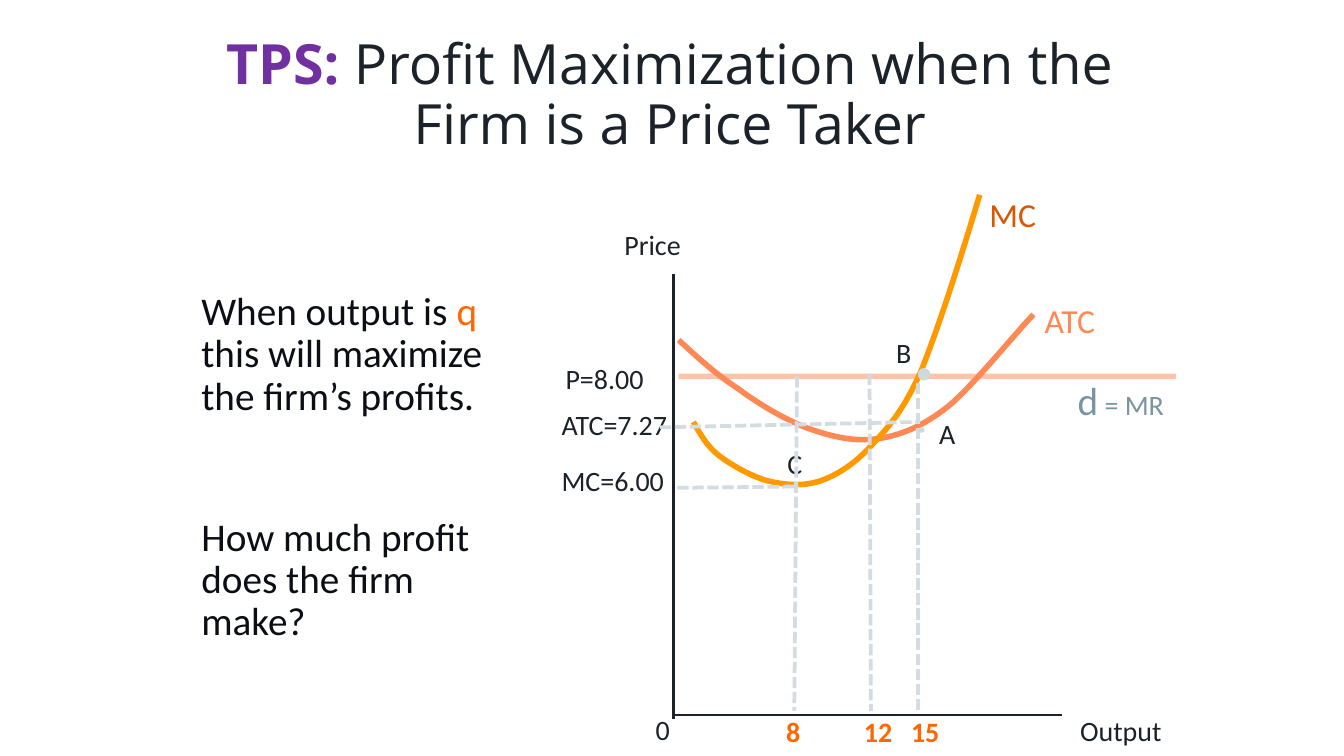
from lxml.etree import SubElement
from pptx import Presentation
from pptx.dml.color import RGBColor
from pptx.enum.dml import MSO_LINE
from pptx.enum.shapes import MSO_CONNECTOR, MSO_SHAPE
from pptx.enum.text import MSO_ANCHOR, PP_ALIGN
from pptx.oxml.ns import qn
from pptx.util import Inches, Pt

# A 16:9 slide as a grid of square cells, 100 columns wide
COLS, ROWS = 100, 56.25
WIDE = Inches(10)
HIGH = WIDE * 9 // 16

HUE = {
    "ink": "1C2229", "body": "0C0E16", "title": "7030A0", "mark": "FF6600",
    "atc": "FE8954", "mc": "FF9900", "mctag": "D85700", "mr": "7A95A2",
    "dash": "D3DCE0", "dot": "CFD8DC", "core": "FFFF00",
}


def col(n):
    return round(n * WIDE / COLS)


def row(n):
    return round(n * HIGH / ROWS)


def rgb(name):
    return RGBColor.from_string(HUE[name])


def add_text(slide, box, runs, size=15, font="Calibri", bold=False,
             align=PP_ALIGN.LEFT, gap=1.0, wrap=True):
    """Put runs of (text, colour[, size[, bold]]) in a box."""
    x, y, w, h = box
    shape = slide.shapes.add_textbox(col(x), row(y), col(w), row(h))
    frame = shape.text_frame
    frame.word_wrap = wrap
    para = frame.paragraphs[0]
    para.alignment = align
    para.line_spacing = gap
    for text, hue, *more in runs:
        run = para.add_run()
        run.text = text
        run.font.name = font
        run.font.size = Pt(more[0] if more else size)
        run.font.bold = more[1] if len(more) > 1 else bold
        run.font.color.rgb = rgb(hue)
    return frame


def add_line(slide, start, end, hue, width, dash=False, alpha=None):
    line = slide.shapes.add_connector(
        MSO_CONNECTOR.STRAIGHT, col(start[0]), row(start[1]),
        col(end[0]), row(end[1]))
    line.line.color.rgb = rgb(hue)
    line.line.width = Pt(width)
    if dash:
        line.line.dash_style = MSO_LINE.SQUARE_DOT
    props = line._element.spPr
    if alpha:
        tint = props.find(".//" + qn("a:srgbClr"))
        SubElement(tint, qn("a:alpha")).set("val", str(alpha * 1000))
    SubElement(props, qn("a:effectLst"))


def add_curve(slide, points, hue):
    """Draw a Bezier curve: a start, then three points per segment."""
    spots = [(col(x), row(y)) for x, y in points]
    form = slide.shapes.build_freeform(*spots[0])
    form.add_line_segments(spots[1:], close=False)
    shape = form.convert_to_shape()
    shape.shadow.inherit = False
    shape.fill.background()
    shape.line.color.rgb = rgb(hue)
    shape.line.width = Pt(3)
    # Turn each three straight steps into one cubic segment
    trace = shape._element.spPr.find(".//" + qn("a:path"))
    steps = trace.findall(qn("a:lnTo"))
    for i in range(0, len(steps), 3):
        cubic = SubElement(trace, qn("a:cubicBezTo"))
        for step in steps[i:i + 3]:
            cubic.append(step[0])
            trace.remove(step)


def add_dot(slide, x, y, w, h, fill, edge=None):
    dot = slide.shapes.add_shape(
        MSO_SHAPE.OVAL, col(x), row(y), col(w), row(h))
    dot.shadow.inherit = False
    dot.fill.solid()
    dot.fill.fore_color.rgb = rgb(fill)
    if edge:
        dot.line.color.rgb = rgb(edge)
        dot.line.width = Pt(3)
    else:
        dot.line.fill.background()


def add_words(slide):
    # Title
    frame = add_text(
        slide, (12.2, 2.1, 75.3, 10.2),
        [("TPS:", "title", 29.7, True),
         (" Profit Maximization when the Firm is a Price Taker", "ink")],
        size=29.7, font="Open Sans", align=PP_ALIGN.CENTER, gap=0.9)
    frame.vertical_anchor = MSO_ANCHOR.MIDDLE
    frame.margin_left = frame.margin_right = Inches(0.08)
    frame.margin_top = frame.margin_bottom = Inches(0.04)

    # Questions on the left
    asks = [
        (21.2, [("When output is ", "body"), ("q", "mark"),
                (" this will maximize the firm’s profits.", "body")]),
        (38, [("How much profit does the firm make?", "body")]),
    ]
    for y, runs in asks:
        add_text(slide, (14, y, 25.9, 10.6), runs, size=21, gap=0.9)


def add_curves(slide):
    # Demand line, axes, then the two cost curves
    add_line(slide, (50.5, 28), (87.5, 28), "atc", 3, alpha=50)
    add_line(slide, (50.2, 53.2), (79, 53.2), "ink", 1.5)
    add_line(slide, (50.1, 20.4), (50.1, 53.5), "ink", 1.5)
    add_curve(slide, [
        (50.5, 25.3), (51.8, 26.5), (53.2, 27.8), (54.9, 28.9),
        (56.5, 30.1), (58.7, 31.4), (60.5, 32),
        (62.3, 32.6), (63.9, 32.9), (65.6, 32.6),
        (67.2, 32.3), (68.7, 31.7), (70.6, 30.2),
        (72.5, 28.6), (75.8, 24.5), (76.9, 23.4)], "atc")
    add_curve(slide, [
        (51.6, 31.4), (52.1, 32.3), (52.6, 33.2), (53.5, 33.9),
        (54.4, 34.6), (56, 35.5), (57.2, 35.8),
        (58.5, 36.1), (59.7, 36.2), (61, 35.8),
        (62.2, 35.4), (63.5, 34.6), (64.7, 33.3),
        (66, 31.9), (67.1, 30.8), (68.5, 27.7),
        (69.8, 24.5), (71.4, 19.5), (72.9, 14.5)], "mc")


def add_tags(slide):
    # Curve names
    add_text(slide, (79.2, 27.5, 12.2, 4.5),
             [("d", "mr", 21), (" = MR", "mr")])
    for text, x, y, w, hue in [("ATC", 76.7, 22.4, 5.8, "atc"),
                               ("MC", 72.6, 14.5, 5.5, "mctag")]:
        add_text(slide, (x, y, w, 3.5), [(text, hue)], size=18,
                 align=PP_ALIGN.CENTER, gap=0.8, wrap=False)

    # Axis names
    for text, x, y, w, gap in [("Price", 44.8, 16.9, 7.5, 0.8),
                               ("Output", 78.5, 52.9, 9.8, 0.9)]:
        add_text(slide, (x, y, w, 3.3), [(text, "ink")],
                 align=PP_ALIGN.CENTER, gap=gap)

    # Price levels, origin and points
    for text, x, y, w in [
            ("P=8.00", 41.1, 26.4, 9.7), ("ATC=7.27", 40.8, 29.8, 9.9),
            ("MC=6.00", 40.8, 34, 9.9), ("0", 47.8, 52.5, 2.7),
            ("A", 68.9, 30.5, 3.7), ("B", 65.7, 24.5, 3.6),
            ("C", 57.6, 32.7, 3.6)]:
        add_text(slide, (x, y, w, 3.5), [(text, "ink")])

    # Output levels
    for text, x in [("8", 57.5), ("12", 63.3), ("15", 66.8)]:
        add_text(slide, (x, 52.7, 6.1, 3.5), [(text, "mark")], bold=True)


def add_guides(slide):
    # Dashed guides: three down to output, two across to price
    for start, end in [((59.3, 28), (59.1, 52.9)),
                       ((64.7, 27.8), (64.8, 52.9)),
                       ((68.3, 28.5), (68.3, 52.9)),
                       ((49.1, 31.8), (68.4, 31.4)),
                       ((50.4, 36.3), (59.4, 36.2))]:
        add_line(slide, start, end, "dash", 2, dash=True)
    add_dot(slide, 68.5, 27.6, 0.5, 0.5, "core", "dot")
    add_dot(slide, 68.3, 31.8, 0.5, 0.4, "dot")


def main():
    deck = Presentation()
    deck.slide_width, deck.slide_height = WIDE, HIGH
    slide = deck.slides.add_slide(deck.slide_layouts[6])
    add_words(slide)
    add_curves(slide)
    add_tags(slide)
    add_guides(slide)
    deck.save("out.pptx")


if __name__ == "__main__":
    main()
